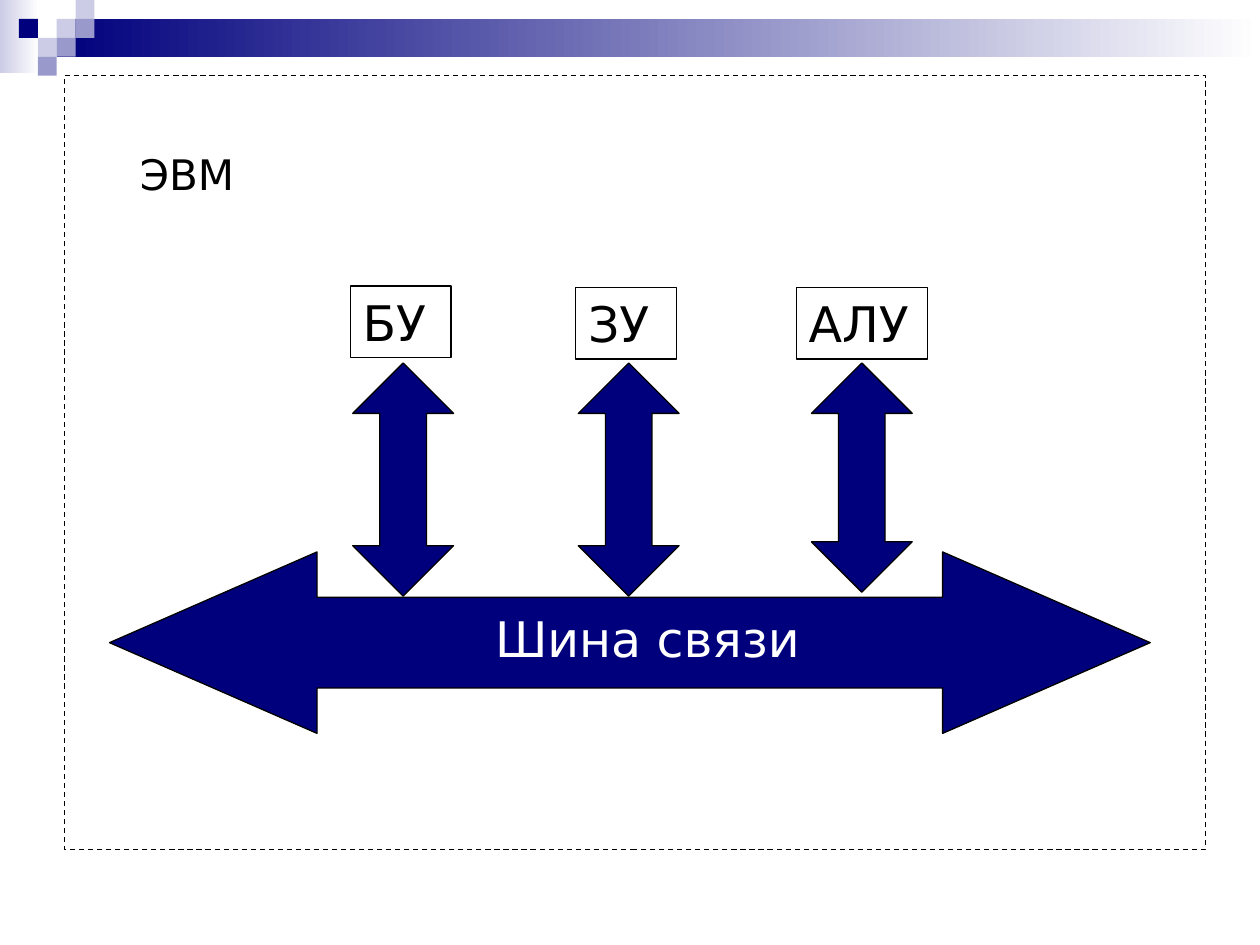
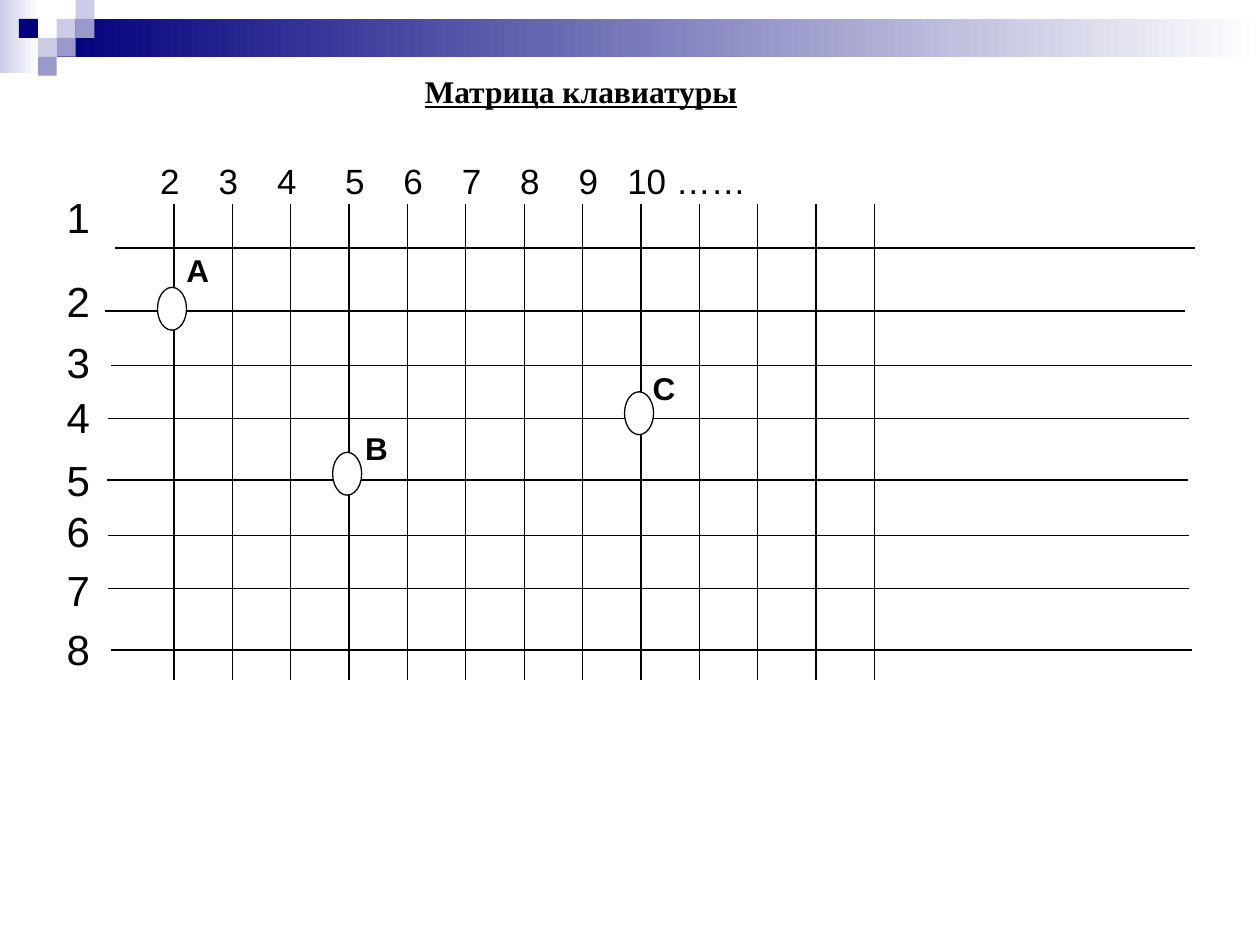
from lxml.etree import SubElement
from pptx import Presentation
from pptx.dml.color import RGBColor
from pptx.enum.dml import MSO_LINE
from pptx.enum.shapes import MSO_CONNECTOR, MSO_SHAPE as SHAPE
from pptx.enum.text import MSO_ANCHOR, MSO_AUTO_SIZE, PP_ALIGN
from pptx.oxml.ns import qn
from pptx.util import Pt

# Shared look
NAVY, MID, LIGHT, WHITE, BLACK = "00007D", "9999CC", "CCCCE6", "FFFFFF", "000000"
WIDTH, HEIGHT = 720, 540
TILE = 10.8
FADES = [((0, 0, 22.3, 41.8), LIGHT), ((3 * TILE, TILE, WIDTH - 3 * TILE, 2 * TILE), NAVY)]
TILES = [(3, 1, LIGHT), (4, 0, LIGHT), (4, 1, MID), (2, 2, LIGHT),
         (1, 1, NAVY), (3, 2, MID), (2, 3, MID)]  # column, row, colour

# Slide 1: computer units on a bus
COMPUTER = "ЭВМ"
BUS = "Шина связи"
UNITS = [  # name, box left, box top, box width, arrow left, arrow height
    ("БУ", 200.2, 163.4, 57.6, 201.6, 133.2),
    ("ЗУ", 329, 164.2, 57.6, 330.5, 133.2),
    ("АЛУ", 455, 164.2, 74.9, 463.7, 131),
]
ARROW_TOP, ARROW_WIDTH, ARROW_HEAD = 207.4, 57.6, 26.6

# Slide 2: keyboard matrix
MATRIX = "Матрица клавиатуры"
COLUMN_COUNT, FIRST_COLUMN, PITCH = 13, 99.4, 33.36
COLUMN_TOP, COLUMN_BOTTOM = 116.6, 388.8
COLUMN_LABELS = ["2", "3", "4", "5", "6", "7", "8", "9", "10 ……"]
SHIFTED, SHIFT = "56789", 5.56  # labels set slightly to the right
ROW_LENGTH = 617.5
ROWS = [  # line y, line left, label top
    (141.8, 65.5, 105.8), (177.8, 59.8, 154.1), (208.8, 63.4, 188.6), (239, 61.9, 220.3),
    (274.3, 61.2, 256.3), (306, 61.9, 285.1), (336.2, 61.9, 319), (371.5, 63.4, 352.8),
]
KEYS = [  # name, column index, key top, label left, label top
    ("A", 0, 164.2, 99.4, 139.7),
    ("B", 3, 258.5, 201.6, 241.9),
    ("C", 8, 223.9, 365.8, 207.4),
]


def rgb(colour):
    return RGBColor.from_string(colour)


def points(*lengths):
    return [Pt(length) for length in lengths]


def add_shape(slide, kind, box, fill=None, line=BLACK):
    shape = slide.shapes.add_shape(kind, *points(*box))
    shape.shadow.inherit = False
    if fill:
        shape.fill.solid()
        shape.fill.fore_color.rgb = rgb(fill)
    else:
        shape.fill.background()
    if line:
        shape.line.color.rgb = rgb(line)
        shape.line.width = Pt(0.75)
    else:
        shape.line.fill.background()
    return shape


def add_line(slide, *ends):
    line = slide.shapes.add_connector(MSO_CONNECTOR.STRAIGHT, *points(*ends))
    line.line.color.rgb = rgb(BLACK)
    line.line.width = Pt(0.75)
    SubElement(line._element.spPr, qn("a:effectLst"))


def write(shape, text, size, face="Arial", colour=BLACK, bold=False,
          underline=False, align=PP_ALIGN.LEFT, tabs=()):
    frame = shape.text_frame
    frame.word_wrap = True
    frame.auto_size = MSO_AUTO_SIZE.NONE
    frame.vertical_anchor = MSO_ANCHOR.TOP
    frame.text = text
    paragraph = frame.paragraphs[0]
    paragraph.alignment = align
    if tabs:
        stops = SubElement(paragraph._p.get_or_add_pPr(), qn("a:tabLst"))
        for tab in tabs:
            SubElement(stops, qn("a:tab"), pos=str(Pt(tab)), algn="l")
    font = paragraph.font
    font.name, font.size, font.bold, font.underline = face, Pt(size), bold, underline
    font.color.rgb = rgb(colour)


def add_text(slide, box, text, size, **style):
    label = slide.shapes.add_textbox(*points(*box))
    write(label, text, size, **style)
    return label


def add_slide(deck, title, box, size, **style):
    slide = deck.slides.add_slide(deck.slide_layouts[5])
    heading = slide.shapes.title
    heading.left, heading.top, heading.width, heading.height = points(*box)
    write(heading, title, size, **style)
    # Top band and tiles
    for area, start in FADES:
        fill = add_shape(slide, SHAPE.RECTANGLE, area, line=None).fill
        fill.gradient()
        fill.gradient_angle = 0
        for stop, position, colour in zip(fill.gradient_stops, (0, 1), (start, WHITE)):
            stop.position = position
            stop.color.rgb = rgb(colour)
    for column, row, colour in TILES:
        add_shape(slide, SHAPE.RECTANGLE, (column * TILE, row * TILE, TILE, TILE), colour, None)
    return slide


def build_computer(deck):
    face = "DejaVu Sans"
    slide = add_slide(deck, COMPUTER, (72.7, 81.4, 107.3, 36), 24, face=face)
    border = add_shape(slide, SHAPE.RECTANGLE, (36.7, 43.2, 652.3, 442.1))
    border.line.dash_style = MSO_LINE.DASH
    # Bus
    bus = add_shape(slide, SHAPE.LEFT_RIGHT_ARROW, (62.6, 315.4, 594.7, 103.7), NAVY)
    bus.adjustments[0], bus.adjustments[1] = 0.5, 1.144
    add_text(slide, (275.8, 344.2, 203, 41), BUS, 28, face=face, colour=WHITE)
    # Units and their arrows
    for name, left, top, width, arrow_left, arrow_height in UNITS:
        arrow = add_shape(slide, SHAPE.UP_DOWN_ARROW,
                          (arrow_left, ARROW_TOP, ARROW_WIDTH, arrow_height), NAVY)
        arrow.adjustments[0], arrow.adjustments[1] = 0.5, ARROW_HEAD / ARROW_WIDTH
        unit = add_shape(slide, SHAPE.RECTANGLE, (left, top, width, 41))
        write(unit, name, 28, face=face)


def build_matrix(deck):
    slide = add_slide(deck, MATRIX, (150.5, 37.4, 362.9, 28.8), 18, face="Times New Roman",
                      bold=True, underline=True, align=PP_ALIGN.CENTER)
    # Rows and columns
    for number, (y, left, label_top) in enumerate(ROWS, 1):
        add_line(slide, left, y, left + ROW_LENGTH, y)
        add_text(slide, (31, label_top, 36, 36), str(number), 24)
    columns = [FIRST_COLUMN + PITCH * index for index in range(COLUMN_COUNT)]
    for x in columns:
        add_line(slide, x, COLUMN_TOP, x, COLUMN_BOTTOM)
    tabs = [PITCH * index + (SHIFT if label in SHIFTED else 0)
            for index, label in enumerate(COLUMN_LABELS)]
    header = add_text(slide, (67.7, 87.8, 442.1, 31.7), "\t".join(COLUMN_LABELS), 20,
                      tabs=tabs[1:])
    header.text_frame.margin_left = Pt(23.9)
    # Pressed keys
    for name, column, top, label_left, label_top in KEYS:
        add_shape(slide, SHAPE.OVAL, (columns[column] - 9.4, top, 16.6, 24.5), WHITE)
        add_text(slide, (label_left, label_top, 28.1, 28.8), name, 18, bold=True)


def main():
    deck = Presentation()
    deck.slide_width, deck.slide_height = points(WIDTH, HEIGHT)
    build_computer(deck)
    build_matrix(deck)
    deck.save("out.pptx")


if __name__ == "__main__":
    main()
